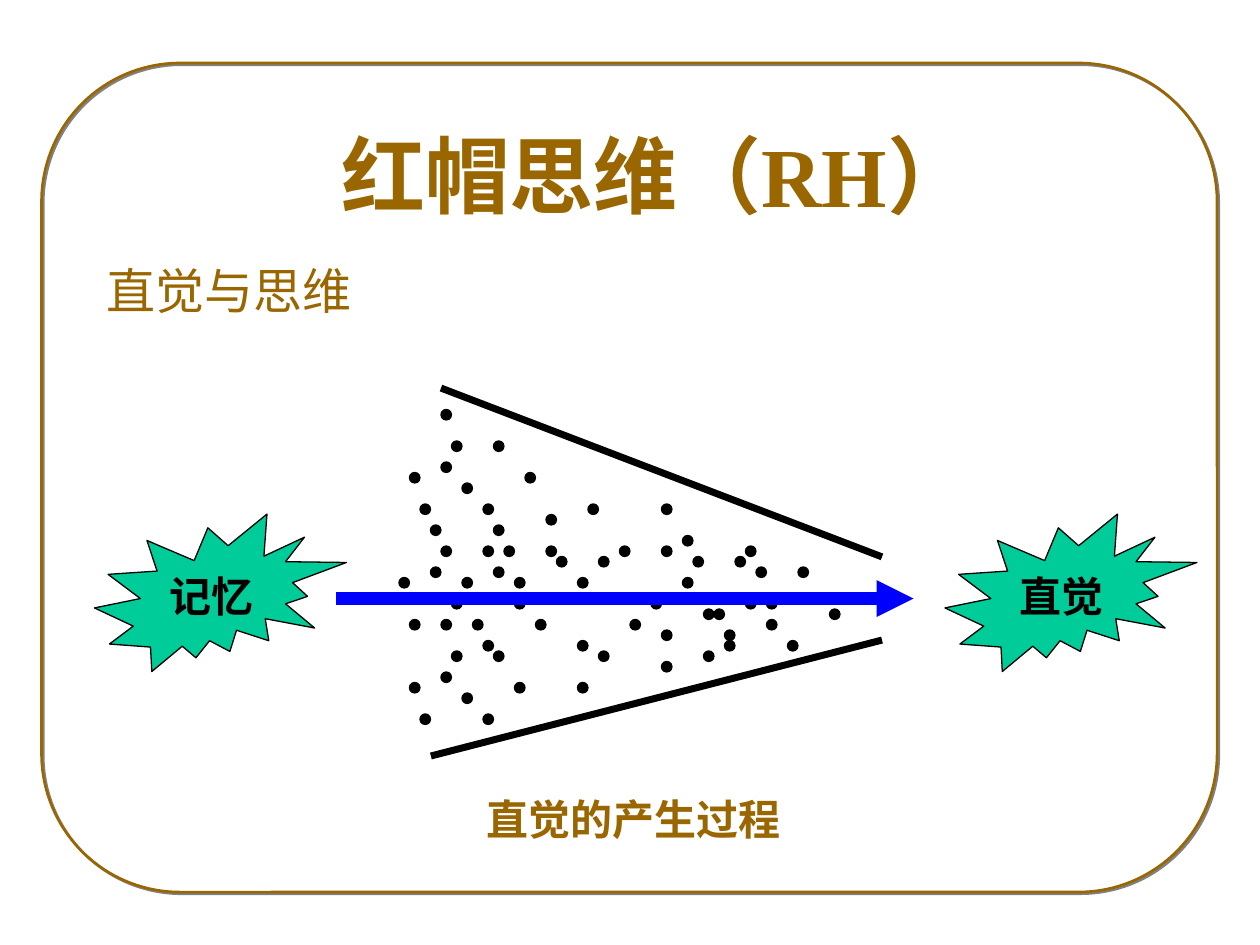
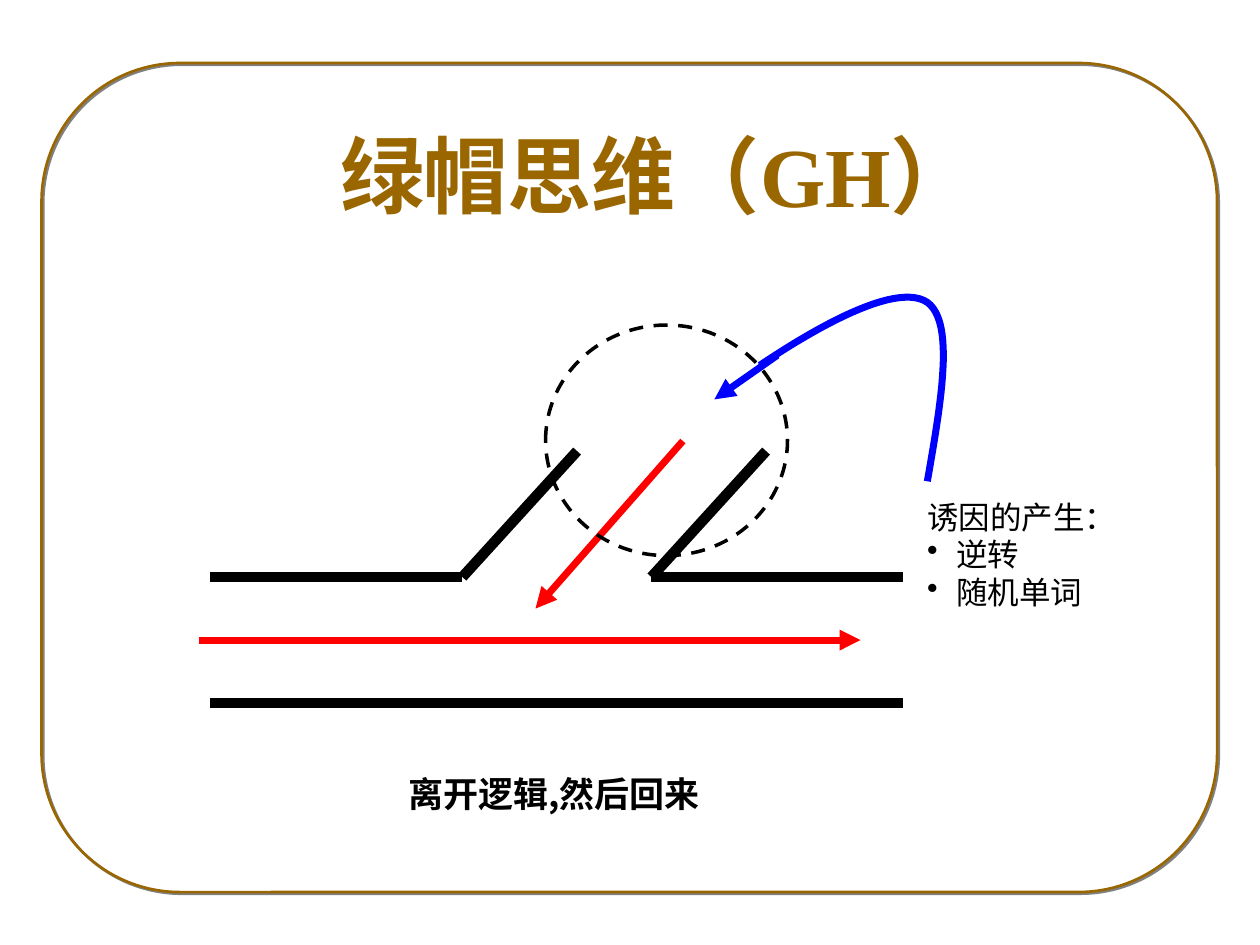
from dataclasses import dataclass

from lxml import etree
from pptx import Presentation
from pptx.dml.color import RGBColor
from pptx.enum.dml import MSO_LINE
from pptx.enum.shapes import MSO_CONNECTOR, MSO_SHAPE
from pptx.enum.text import MSO_ANCHOR, PP_ALIGN
from pptx.oxml import parse_xml
from pptx.oxml.ns import nsdecls, qn
from pptx.util import Inches, Pt

STRAIGHT = MSO_CONNECTOR.STRAIGHT
ROUNDED, OVAL, BURST = MSO_SHAPE.ROUNDED_RECTANGLE, MSO_SHAPE.OVAL, MSO_SHAPE.EXPLOSION2
DASH = MSO_LINE.DASH
MIDDLE, CENTER = MSO_ANCHOR.MIDDLE, PP_ALIGN.CENTER


@dataclass(frozen=True)
class Theme:
    brown = RGBColor(0x99, 0x66, 0x00)
    black = RGBColor(0x00, 0x00, 0x00)
    blue = RGBColor(0x00, 0x00, 0xFF)
    red = RGBColor(0xFF, 0x00, 0x00)
    green = RGBColor(0x00, 0xCC, 0x99)
    serif = "Times New Roman"
    sans = "Noto Sans CJK SC"
    title = 48
    subtitle = 28
    label = 24
    caption = 20
    body = 18


theme = Theme()


def write_text(shape, text, size, color, bold=False, font=theme.serif, wrap=False):
    """Fill a shape with text; the Chinese glyphs always use the sans font."""
    frame = shape.text_frame
    frame.word_wrap = wrap
    frame.text = text
    for para in frame.paragraphs:
        for span in para.runs:
            span.font.size = Pt(size)
            span.font.bold = bold
            span.font.color.rgb = color
            span.font.name = font
            east_asian = etree.SubElement(span.font._element, qn("a:ea"))
            east_asian.set("typeface", theme.sans)


def draw_line(page, start, end, color, width, arrow=False):
    line = page.shapes.add_connector(STRAIGHT, *(Inches(value) for value in start + end))
    line.line.color.rgb = color
    line.line.width = Pt(width)
    if arrow:
        etree.SubElement(line.line._get_or_add_ln(), qn("a:tailEnd")).set("type", "triangle")
    etree.SubElement(line._element.spPr, qn("a:effectLst"))


deck = Presentation()
deck.slide_width = Inches(10)
deck.slide_height = Inches(7.5)

# Shared frame and title
pages = []
for title, left, width in (("红帽思维（RH）", 2.61, 5.52), ("绿帽思维（GH）", 2.6, 5.55)):
    page = deck.slides.add_slide(deck.slide_layouts[6])
    frame = page.shapes.add_shape(ROUNDED, Inches(0.33), Inches(0.5), Inches(9.33), Inches(6.58))
    frame.adjustments[0] = 0.167
    frame.fill.background()
    frame.line.color.rgb = theme.brown
    frame.line.width = Pt(1.5)
    frame._element.spPr.append(parse_xml(
        f'<a:effectLst {nsdecls("a")}><a:outerShdw dist="{Pt(1.4)}" dir="2700000" algn="ctr" '
        'rotWithShape="0"><a:srgbClr val="808080"/></a:outerShdw></a:effectLst>'))
    box = page.shapes.add_textbox(Inches(left), Inches(0.93), Inches(width), Inches(0.9))
    write_text(box, title, theme.title, theme.brown, bold=True)
    pages.append(page)
intuition_page, provocation_page = pages

# Slide 1: memories funnel into intuition
box = intuition_page.shapes.add_textbox(Inches(0.75), Inches(2.02), Inches(3.58), Inches(0.57))
write_text(box, "直觉与思维", theme.subtitle, theme.brown, font=theme.sans, wrap=True)

draw_line(intuition_page, (3.5, 3.08), (7, 4.42), theme.black, 4)
draw_line(intuition_page, (3.42, 6), (7, 5.08), theme.black, 4)

# Dots sit on a grid of twelfths of an inch: row -> columns
DOT = Inches(1) // 12
dot_columns = {
    39: [42],
    42: [43, 47],
    44: [42],
    45: [39, 50],
    46: [44],
    48: [40, 46, 56, 63],
    49: [52],
    50: [41, 47],
    51: [65],
    52: [42, 46, 48, 52, 59, 63, 71],
    53: [53, 57, 66, 70],
    54: [41, 47, 72, 76],
    55: [38, 44, 49, 55, 65],
    57: [43, 49, 62, 71, 73],
    58: [67, 68, 79],
    59: [39, 42, 45, 51, 60, 73],
    60: [63, 69],
    61: [46, 55, 69, 75],
    62: [43, 47, 57, 67],
    63: [63],
    64: [42],
    65: [39, 49, 55],
    66: [44],
    68: [40, 46],
}
for row, columns in dot_columns.items():
    for column in columns:
        dot = intuition_page.shapes.add_shape(OVAL, column * DOT, row * DOT, DOT, DOT)
        dot.shadow.inherit = False
        dot.fill.solid()
        dot.fill.fore_color.rgb = theme.black
        dot.line.color.rgb = theme.black
        dot.line.width = Pt(0.75)

draw_line(intuition_page, (2.67, 4.75), (7.25, 4.75), theme.blue, 7, arrow=True)

box = intuition_page.shapes.add_textbox(Inches(3.76), Inches(6.25), Inches(2.53), Inches(0.5))
write_text(box, "直觉的产生过程", theme.label, theme.brown, bold=True)

for label, left in (("记忆", 0.75), ("直觉", 7.5)):
    burst = intuition_page.shapes.add_shape(
        BURST, Inches(left), Inches(4.08), Inches(2), Inches(1.25))
    burst.shadow.inherit = False
    burst.fill.solid()
    burst.fill.fore_color.rgb = theme.green
    burst.line.color.rgb = theme.black
    burst.line.width = Pt(0.75)
    write_text(burst, label, theme.label, theme.black, bold=True)
    burst.text_frame.vertical_anchor = MIDDLE
    burst.text_frame.paragraphs[0].alignment = CENTER

# Slide 2: a side road leaves the main road and returns
road_edges = [
    ((1.67, 5.58), (7.17, 5.58)),
    ((1.67, 4.58), (3.67, 4.58)),
    ((5.17, 4.58), (7.17, 4.58)),
    ((3.67, 4.58), (4.58, 3.58)),
    ((5.17, 4.58), (6.08, 3.58)),
]
for start, end in road_edges:
    draw_line(provocation_page, start, end, theme.black, 6)
draw_line(provocation_page, (1.58, 5.08), (6.83, 5.08), theme.red, 4, arrow=True)
draw_line(provocation_page, (5.42, 3.5), (4.25, 4.83), theme.red, 4, arrow=True)

# The trigger curve: two Bezier arcs, sampled in equal steps
STEPS = 24
trigger_arcs = [
    ((7.36, 3.82), (7.47, 3.19), (7.58, 2.56), (7.36, 2.4)),
    ((7.36, 2.4), (7.14, 2.25), (6.58, 2.53), (6.03, 2.9)),
]
curve_points = []
for arc in trigger_arcs:
    for step in range(1, STEPS + 1):
        t = step / STEPS
        weights = ((1 - t) ** 3, 3 * t * (1 - t) ** 2, 3 * t ** 2 * (1 - t), t ** 3)
        curve_points.append(tuple(
            Inches(sum(weight * value for weight, value in zip(weights, axis)))
            for axis in zip(*arc)))
builder = provocation_page.shapes.build_freeform(Inches(7.36), Inches(3.82))
builder.add_line_segments(curve_points, close=False)
curve = builder.convert_to_shape()
curve.shadow.inherit = False
curve.fill.background()
curve.line.color.rgb = theme.blue
curve.line.width = Pt(4)
draw_line(provocation_page, (6.17, 2.82), (5.67, 3.17), theme.blue, 4, arrow=True)

box = provocation_page.shapes.add_textbox(Inches(3.14), Inches(6.08), Inches(2.65), Inches(0.44))
write_text(box, "离开逻辑,然后回来", theme.caption, theme.black, bold=True, font=theme.sans)

circle = provocation_page.shapes.add_shape(
    OVAL, Inches(4.33), Inches(2.58), Inches(1.92), Inches(1.83))
circle.shadow.inherit = False
circle.fill.background()
circle.line.color.rgb = theme.black
circle.line.width = Pt(2)
circle.line.dash_style = DASH

box = provocation_page.shapes.add_textbox(Inches(7.26), Inches(3.9), Inches(1.7), Inches(1))
write_text(box, "诱因的产生：\n逆转\n随机单词", theme.body, theme.black, wrap=True)
for para in box.text_frame.paragraphs[1:]:
    properties = para._p.get_or_add_pPr()
    properties.set("marL", str(Inches(0.23)))
    properties.set("indent", str(-Inches(0.23)))
    etree.SubElement(properties, qn("a:buChar")).set("char", "•")

deck.save("out.pptx")
